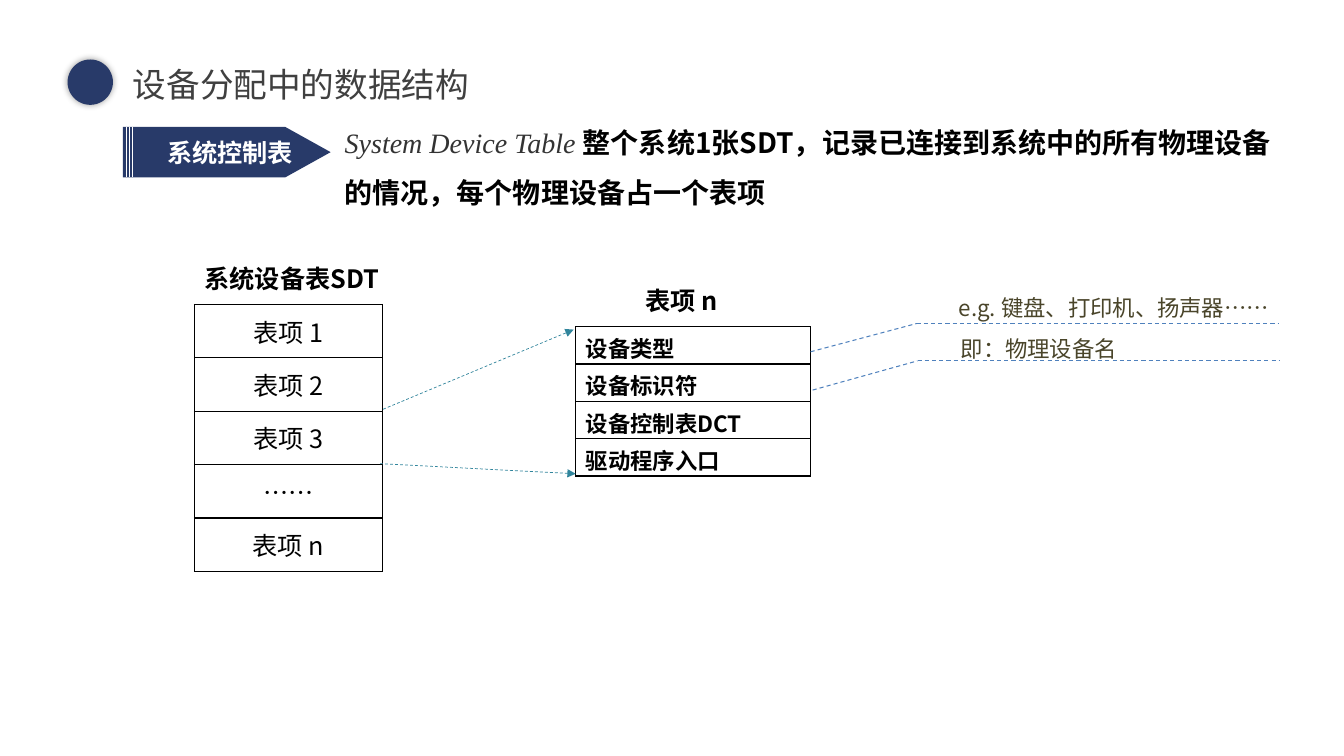
"""Build the slide on the data structures used in device allocation."""
from dataclasses import dataclass
from typing import Optional

from lxml.etree import SubElement
from pptx import Presentation
from pptx.dml.color import RGBColor
from pptx.enum.dml import MSO_LINE_DASH_STYLE as Dash
from pptx.enum.shapes import MSO_CONNECTOR as Link, MSO_SHAPE as Preset
from pptx.enum.text import MSO_ANCHOR as Anchor, PP_ALIGN as Align
from pptx.oxml.ns import qn
from pptx.util import Pt

PX = 9144


@dataclass(frozen=True)
class Theme:
    navy: str = "283A69"
    white: str = "FFFFFF"
    black: str = "000000"
    title: str = "404040"
    term: str = "333333"
    note: str = "4A452A"
    arrow: str = "31859C"
    leader: str = "4F81BD"
    sans: str = "Noto Sans CJK SC"
    serif: str = "Times New Roman"
    title_size: int = 24
    lead_size: int = 20
    label_size: int = 18
    small_size: int = 16


THEME = Theme()


@dataclass(frozen=True)
class Label:
    text: str
    left: int
    top: int
    width: int
    height: int
    size: int
    color: str
    bold: bool = False
    anchor: Anchor = Anchor.TOP


@dataclass(frozen=True)
class Line:
    start: tuple[int, int]
    end: tuple[int, int]
    color: str
    weight: float
    dashed: bool = True
    arrow: bool = False


@dataclass(frozen=True)
class Grid:
    entries: tuple[str, ...]
    left: int
    top: int
    width: int
    row_height: int
    size: int
    bold: bool
    align: Align
    anchor: Anchor
    bottom_margin: int


LABELS = (
    Label("设备分配中的数据结构", 122, 63, 381, 41, THEME.title_size, THEME.title, anchor=Anchor.MIDDLE),
    Label("系统控制表", 156, 131, 146, 40, THEME.label_size, THEME.white, True),
    Label("系统设备表SDT", 193, 256, 262, 40, THEME.label_size, THEME.black, True),
    Label("表项 n", 630, 278, 102, 40, THEME.label_size, THEME.black, True),
    Label("e.g. 键盘、打印机、扬声器……", 941, 287, 381, 37, THEME.small_size, THEME.note),
    Label("即：物理设备名", 943, 328, 381, 37, THEME.small_size, THEME.note),
)
GRIDS = (
    Grid(("表项 1", "表项 2", "表项 3", "……", "表项 n"), 193, 302, 186, 53,
         THEME.label_size, False, Align.CENTER, Anchor.MIDDLE, 5),
    Grid(("设备类型", "设备标识符", "设备控制表DCT", "驱动程序入口"), 571, 324, 233, 37,
         THEME.small_size, True, Align.LEFT, Anchor.TOP, 0),
)
LINES = (
    *(Line((x, 126), (x, 176), THEME.white, 0.5, dashed=False) for x in (125, 128, 131)),
    Line((380, 406), (569, 327), THEME.arrow, 0.5, arrow=True),
    Line((377, 460), (571, 470), THEME.arrow, 0.5, arrow=True),
    Line((804, 349), (909, 321), THEME.leader, 0.75),
    Line((909, 321), (1269, 321), THEME.leader, 0.75),
    Line((806, 387), (910, 358), THEME.leader, 0.75),
    Line((910, 358), (1270, 358), THEME.leader, 0.75),
)


def px(*lengths: int) -> list[int]:
    """Turn px into EMU."""
    return [length * PX for length in lengths]


def style_font(font, size: int, color: str, bold: bool = False, name: str = THEME.sans) -> None:
    """Set size, colour, weight and both Latin and East Asian faces."""
    font.size, font.bold, font.name = Pt(size), bold, name
    font.color.rgb = RGBColor.from_string(color)
    latin = font._element.find(qn("a:latin")) if hasattr(font, "_element") else font._rPr.find(qn("a:latin"))
    east = latin.makeelement(qn("a:ea"), {"typeface": name})
    latin.addnext(east)


def add_box(page, left: int, top: int, width: int, height: int):
    """Add a wrapping text box and return its frame."""
    frame = page.shapes.add_textbox(*px(left, top, width, height)).text_frame
    frame.word_wrap = True
    return frame


def add_label(page, label: Label) -> None:
    """Add a one-line label."""
    frame = add_box(page, label.left, label.top, label.width, label.height)
    frame.vertical_anchor = label.anchor
    para = frame.paragraphs[0]
    para.text = label.text
    style_font(para.font, label.size, label.color, label.bold)


def add_preset(page, preset: Preset, left: int, top: int, width: int, height: int):
    """Add a navy preset shape without outline or shadow."""
    shape = page.shapes.add_shape(preset, *px(left, top, width, height))
    shape.shadow.inherit = False
    shape.fill.solid()
    shape.fill.fore_color.rgb = RGBColor.from_string(THEME.navy)
    shape.line.fill.background()
    return shape


def add_glow(shape) -> None:
    """Give a shape a soft, centred shadow."""
    effects = shape._element.spPr.find(qn("a:effectLst"))
    shadow = SubElement(effects, qn("a:outerShdw"), blurRad=str(Pt(5)), dist="0", dir="0")
    color = SubElement(shadow, qn("a:srgbClr"), val=THEME.black)
    SubElement(color, qn("a:alpha"), val="40000")


def add_line(page, line: Line) -> None:
    """Add a straight line, dashed or with an arrowhead if asked."""
    connector = page.shapes.add_connector(Link.STRAIGHT, *px(*line.start, *line.end))
    connector.line.color.rgb = RGBColor.from_string(line.color)
    connector.line.width = Pt(line.weight)
    if line.dashed:
        connector.line.dash_style = Dash.DASH
    properties = connector._element.spPr
    if line.arrow:
        SubElement(properties.find(qn("a:ln")), qn("a:tailEnd"), type="triangle")
    SubElement(properties, qn("a:effectLst"))


def add_borders(cell, color: str = THEME.black) -> None:
    """Draw all four borders of a cell."""
    properties = cell._tc.get_or_add_tcPr()
    for position, side in enumerate(("lnL", "lnR", "lnT", "lnB")):
        border = properties.makeelement(qn(f"a:{side}"), {"w": str(Pt(1))})
        fill = SubElement(border, qn("a:solidFill"))
        SubElement(fill, qn("a:srgbClr"), val=color)
        properties.insert(position, border)


def add_grid(page, grid: Grid) -> None:
    """Add a one-column table."""
    count = len(grid.entries)
    place = px(grid.left, grid.top, grid.width, grid.row_height * count)
    table = page.shapes.add_table(count, 1, *place).table
    table.first_row = table.horz_banding = False
    for row, entry in zip(table.rows, grid.entries):
        row.height = grid.row_height * PX
        cell = row.cells[0]
        cell.fill.background()
        cell.vertical_anchor = grid.anchor
        cell.margin_top, cell.margin_bottom = px(5, grid.bottom_margin)
        para = cell.text_frame.paragraphs[0]
        para.text, para.alignment = entry, grid.align
        style_font(para.font, grid.size, THEME.black, grid.bold)
        add_borders(cell)


def add_lead(page) -> None:
    """Add the definition of the system device table."""
    para = add_box(page, 332, 103, 951, 105).paragraphs[0]
    para.line_spacing = 1.5
    term, meaning = para.add_run(), para.add_run()
    term.text = "System Device Table "
    meaning.text = "整个系统1张SDT，记录已连接到系统中的所有物理设备的情况，每个物理设备占一个表项"
    style_font(term.font, THEME.lead_size, THEME.term, name=THEME.serif)
    term.font.italic = True
    style_font(meaning.font, THEME.lead_size, THEME.black, True)


def main() -> None:
    """Build and save the deck."""
    deck = Presentation()
    deck.slide_width, deck.slide_height = px(1333, 750)
    page = deck.slides.add_slide(deck.slide_layouts[6])
    add_glow(add_preset(page, Preset.OVAL, 67, 59, 45, 45))
    add_preset(page, Preset.PENTAGON, 122, 126, 206, 50).adjustments[0] = 0.9
    for grid in GRIDS:
        add_grid(page, grid)
    for line in LINES:
        add_line(page, line)
    for label in LABELS:
        add_label(page, label)
    add_lead(page)
    deck.save("out.pptx")


if __name__ == "__main__":
    main()
